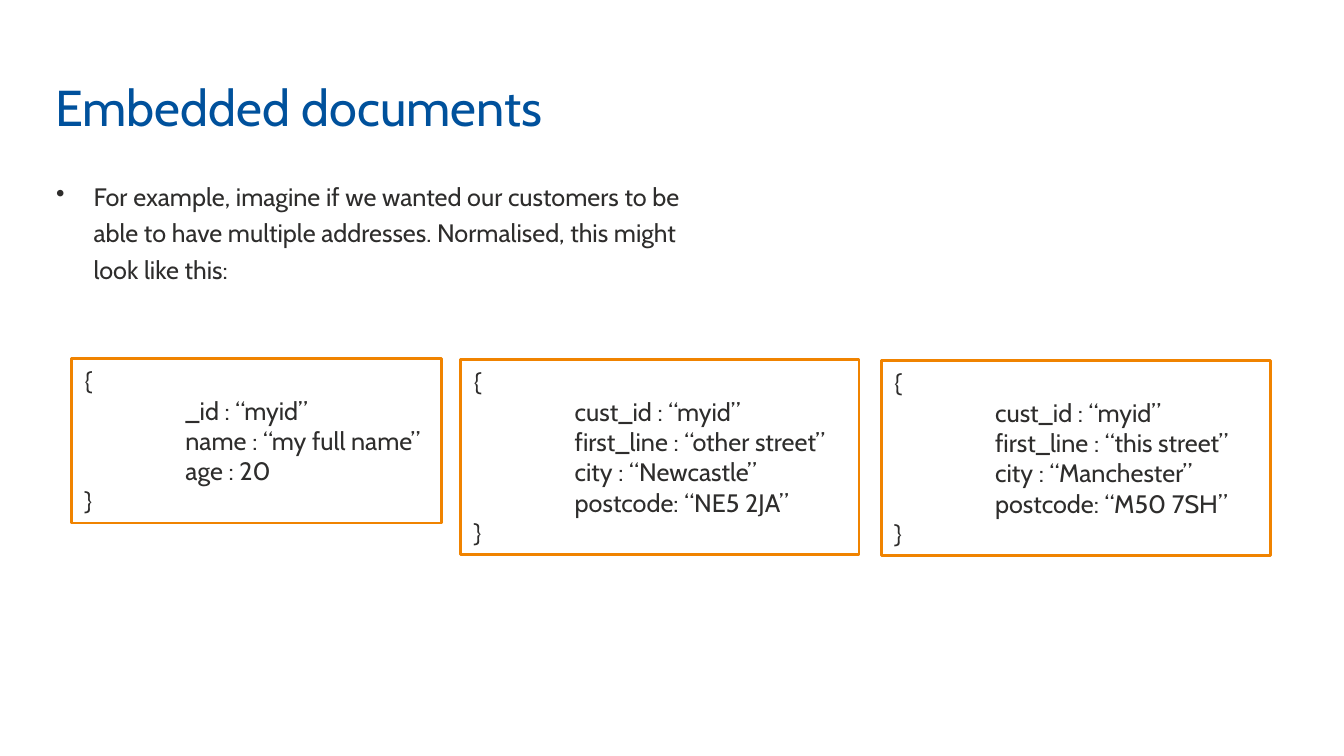
from pptx import Presentation
from pptx.dml.color import RGBColor
from pptx.enum.shapes import MSO_SHAPE
from pptx.enum.text import MSO_ANCHOR, PP_ALIGN
from pptx.oxml import parse_xml
from pptx.oxml.ns import nsdecls
from pptx.util import Inches, Pt

BLUE = RGBColor(0x00, 0x51, 0x9C)
INK = RGBColor(0x2E, 0x2D, 0x2C)
ORANGE = RGBColor(0xF0, 0x83, 0x00)
WHITE = RGBColor(0xFF, 0xFF, 0xFF)
FACE = "Cabin"

RECORDS = [
    ((0.71, 3.56, 3.67, 1.63),
     ["_id : “myid”", "name : “my full name”", "age : 20"]),
    ((4.57, 3.57, 3.95, 1.93),
     ["cust_id : “myid”", "first_line : “other street”",
      "city : “Newcastle”", "postcode: “NE5 2JA”"]),
    ((8.74, 3.58, 3.86, 1.93),
     ["cust_id : “myid”", "first_line : “this street”",
      "city : “Manchester”", "postcode: “M50 7SH”"]),
]


def style(para, size, color):
    """Format the runs of a paragraph."""
    for run in para.runs:
        run.font.name = FACE
        run.font.size = Pt(size)
        run.font.color.rgb = color


def indent(para, left, first=0):
    """Set the left margin and first line indent of a paragraph."""
    props = para._p.get_or_add_pPr()
    props.set("marL", str(Inches(left)))
    props.set("indent", str(Inches(first)))
    return props


def add_title(slide, box, text):
    """Place the heading on the bottom edge of its box."""
    frame = slide.shapes.add_textbox(*map(Inches, box)).text_frame
    frame.word_wrap = True
    frame.vertical_anchor = MSO_ANCHOR.BOTTOM
    frame.text = text
    style(frame.paragraphs[0], 36, BLUE)


def add_bullet(slide, box, text):
    """Place the bulleted introduction in its box."""
    frame = slide.shapes.add_textbox(*map(Inches, box)).text_frame
    frame.word_wrap = True
    frame.text = text
    para = frame.paragraphs[0]
    props = indent(para, 0.38, -0.37)
    props.append(parse_xml(
        f'<a:buClr {nsdecls("a")}><a:srgbClr val="{INK}"/></a:buClr>'))
    props.append(parse_xml(f'<a:buChar {nsdecls("a")} char="•"/>'))
    para.line_spacing = 1.2
    para.space_after = Pt(10)
    style(para, 18, INK)


def add_record(slide, box, fields):
    """Draw a framed document with its fields between braces."""
    shape = slide.shapes.add_shape(MSO_SHAPE.RECTANGLE, *map(Inches, box))
    shape.shadow.inherit = False
    shape.fill.solid()
    shape.fill.fore_color.rgb = WHITE
    shape.line.color.rgb = ORANGE
    shape.line.width = Pt(2)
    frame = shape.text_frame
    frame.word_wrap = True
    frame.vertical_anchor = MSO_ANCHOR.TOP
    frame.margin_left = frame.margin_right = Inches(0.13)
    frame.margin_top = frame.margin_bottom = Inches(0.06)
    frame.text = "\n".join(["{", *fields, "}"])
    for para in frame.paragraphs:
        para.alignment = PP_ALIGN.LEFT
        style(para, 18, INK)
    for para in frame.paragraphs[1:-1]:
        indent(para, 1)


def main():
    """Build the slide and save it."""
    deck = Presentation()
    deck.slide_width = Inches(13.33)
    deck.slide_height = Inches(7.5)
    slide = deck.slides.add_slide(deck.slide_layouts[6])
    add_title(slide, (0.45, 0.14, 9.98, 1.26), "Embedded documents")
    add_bullet(slide, (0.45, 1.69, 6.44, 1.74),
               "For example, imagine if we wanted our customers to be able to "
               "have multiple addresses. Normalised, this might look like this:")
    for box, fields in RECORDS:
        add_record(slide, box, fields)
    deck.save("out.pptx")


if __name__ == "__main__":
    main()
